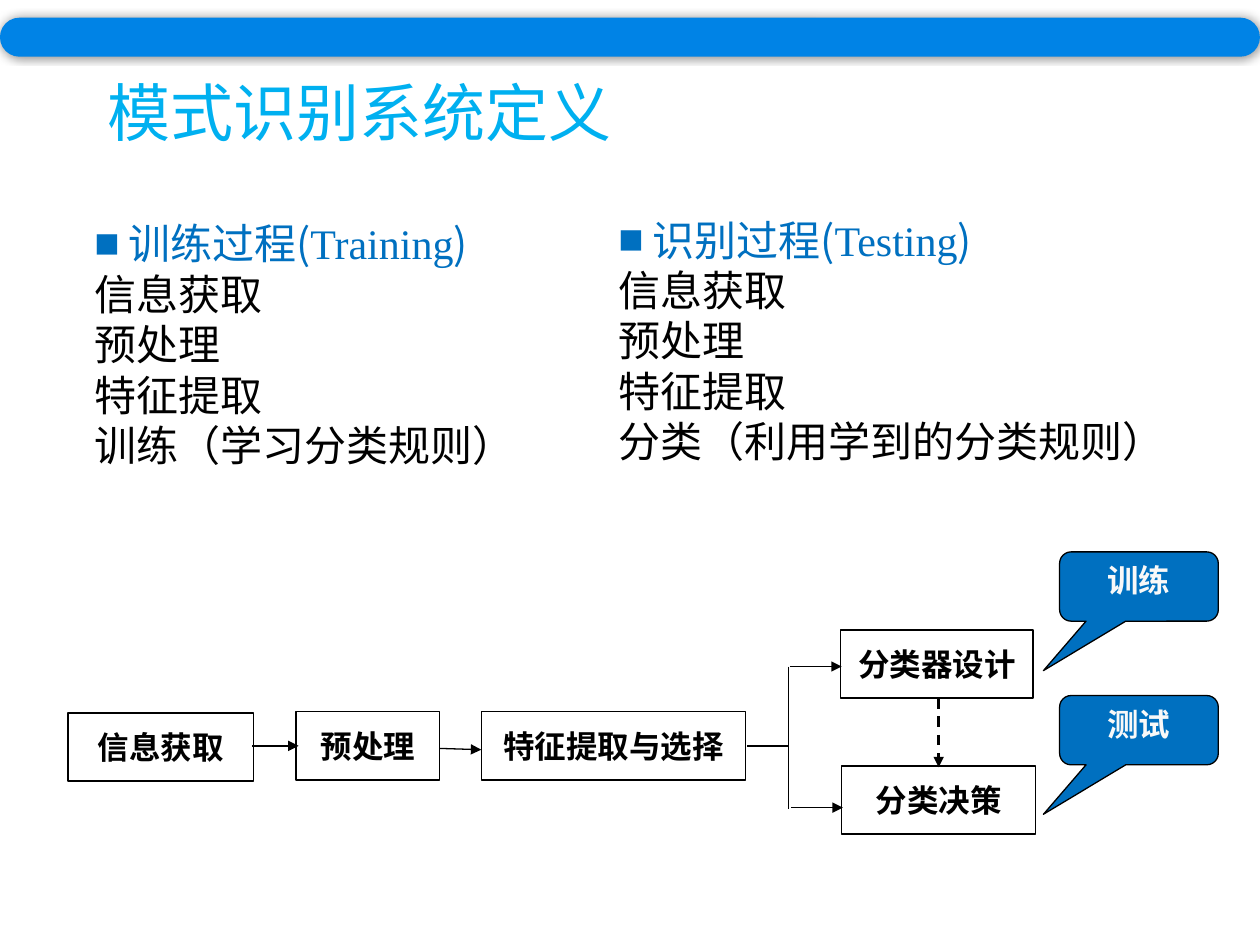
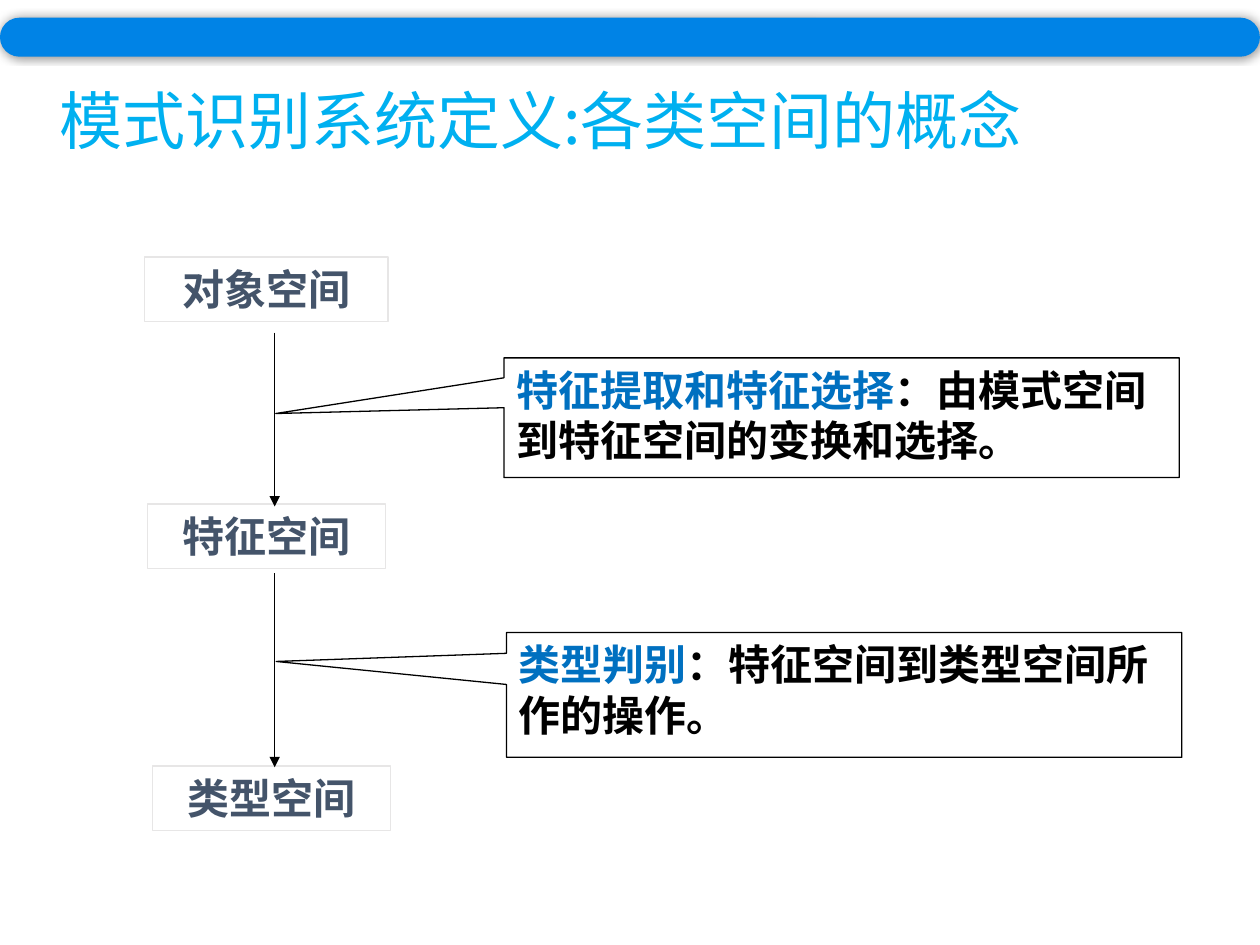
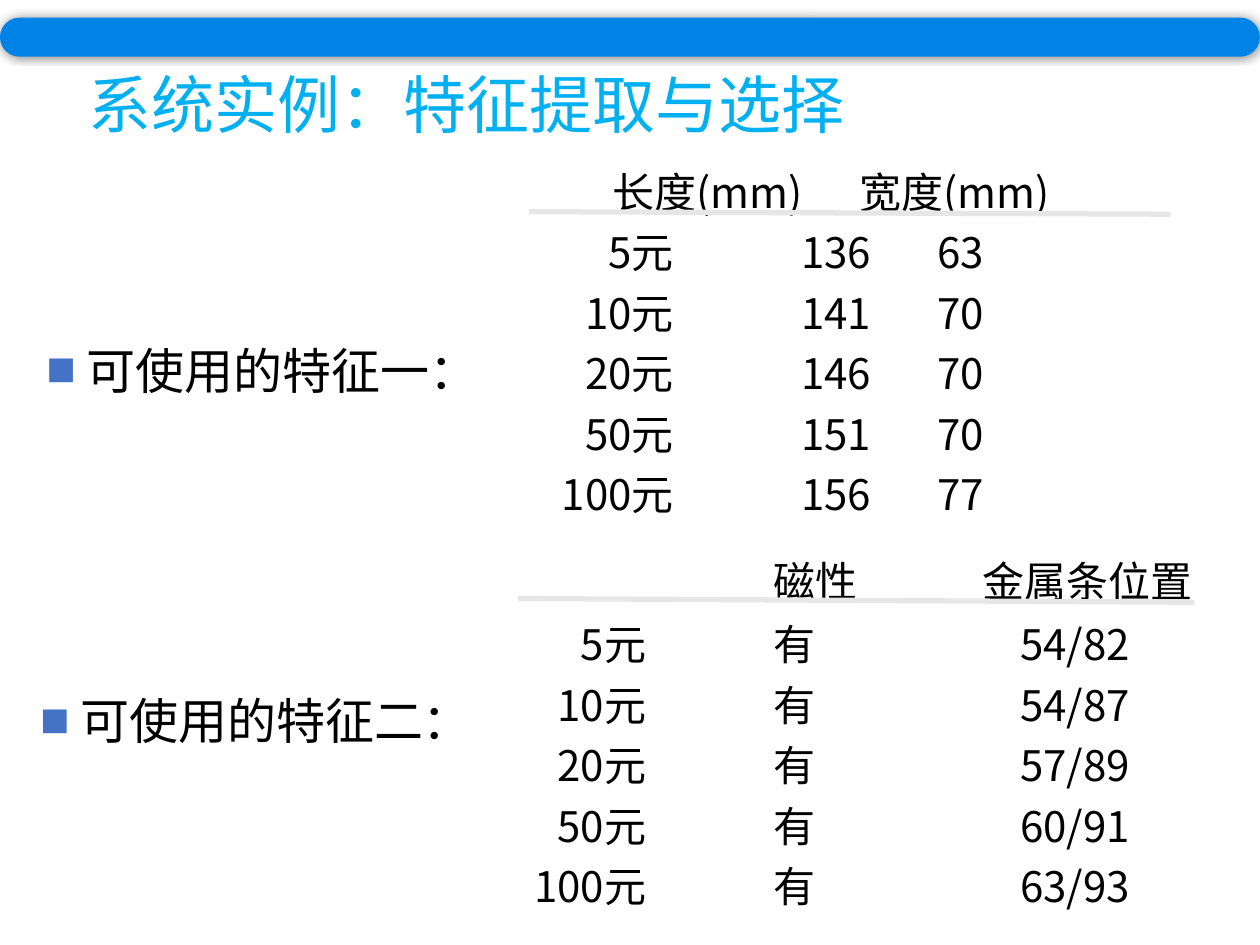
from lxml import etree
from pptx import Presentation
from pptx.dml.color import RGBColor
from pptx.enum import dml, shapes, text
from pptx.oxml.ns import qn
from pptx.util import Inches, Pt

SANS, SERIF = "Noto Sans CJK SC", "Times New Roman"
BLACK, WHITE, BLUE, GREY = "000000", "FFFFFF", "0070C0", "E7E6E6"
BAND, TITLE, SLATE, MARKER = "0083E6", "00B0F0", "44546A", "4472C4"
SHAPE = shapes.MSO_SHAPE
CENTER, LEFT = text.PP_ALIGN.CENTER, text.PP_ALIGN.LEFT


def write(paragraph, words, size=24, color=BLACK, font=SANS, bold=False,
          align=LEFT, bullet=None, indent=0.27):
    """Add a run; bullet is the colour of a square marker on the paragraph."""
    run = paragraph.add_run()
    run.text = words
    run.font.size, run.font.bold, run.font.name = Pt(size), bold, font
    run.font.color.rgb = RGBColor.from_string(color)
    etree.SubElement(run.font._element, qn("a:ea"), typeface=font)
    paragraph.alignment = align
    if bullet:
        props = paragraph._p.get_or_add_pPr()
        props.set("marL", str(Inches(indent)))
        props.set("indent", str(-Inches(indent)))
        marker = etree.SubElement(props, qn("a:buClr"))
        etree.SubElement(marker, qn("a:srgbClr"), val=bullet)
        etree.SubElement(props, qn("a:buFont"), typeface=SERIF)
        etree.SubElement(props, qn("a:buChar"), char="■")


def add_box(slide, box, preset=None, fill=None, line=None, adjust=()):
    """Add a preset shape, or a text box when there is no preset."""
    place = [Inches(v) for v in box]
    if preset is None:
        part = slide.shapes.add_textbox(*place)
    else:
        part = slide.shapes.add_shape(preset, *place)
        part.shadow.inherit = False
        for i, value in enumerate(adjust):
            part.adjustments[i] = value
        if fill:
            part.fill.solid()
            part.fill.fore_color.rgb = RGBColor.from_string(fill)
        else:
            part.fill.background()
        if line:
            part.line.color.rgb = RGBColor.from_string(line)
            part.line.width = Pt(0.75)
        else:
            part.line.fill.background()
        part.text_frame.vertical_anchor = text.MSO_ANCHOR.TOP
    part.text_frame.word_wrap = True
    return part


prs = Presentation()
prs.slide_width, prs.slide_height = Inches(10), Inches(7.5)

# Band and title of every slide
slides = []
for heading, left, top in [("模式识别系统定义", 0.75, 0.53),
                           ("模式识别系统定义:各类空间的概念", 0.37, 0.6),
                           ("系统实例：特征提取与选择", 0.6, 0.47)]:
    slide = prs.slides.add_slide(prs.slide_layouts[5])
    slides.append(slide)
    band = add_box(slide, (0, 0.14, 10, 0.31), SHAPE.ROUNDED_RECTANGLE, BAND, adjust=[0.5])
    effects = band.element.spPr.find(qn("a:effectLst"))
    glow = etree.SubElement(effects, qn("a:outerShdw"), blurRad=str(Pt(5)), dist="0", dir="0")
    shade = etree.SubElement(glow, qn("a:srgbClr"), val=BLACK)
    etree.SubElement(shade, qn("a:alpha"), val="40000")

    title = slide.shapes.title
    title.left, title.top, title.width, title.height = map(Inches, (left, top, 8.5, 1.17))
    title.text_frame.vertical_anchor = text.MSO_ANCHOR.TOP
    title.text_frame.auto_size = text.MSO_AUTO_SIZE.NONE
    write(title.text_frame.paragraphs[0], heading, size=36, color=TITLE)
    title.text_frame.paragraphs[0].space_after = Pt(6)
system, spaces, example = slides

# Slide 1: the two processes and the system flow
for left, top, process, english, last_step in [
        (0.65, 1.68, "训练过程", "Training", "训练（学习分类规则）"),
        (4.81, 1.65, "识别过程", "Testing", "分类（利用学到的分类规则）")]:
    frame = add_box(system, (left, top, 5, 2.12)).text_frame
    head = frame.paragraphs[0]
    write(head, process + "(", color=BLUE, bullet=BLUE)
    write(head, english, color=BLUE, font=SERIF)
    write(head, ")", color=BLUE)
    for step in ("信息获取", "预处理", "特征提取", last_step):
        write(frame.add_paragraph(), step)

for stage, left, top, width in [("信息获取", 0.54, 5.66, 1.47), ("预处理", 2.35, 5.65, 1.14),
                                ("特征提取与选择", 3.82, 5.65, 2.1),
                                ("分类器设计", 6.67, 5, 1.53), ("分类决策", 6.68, 6.08, 1.54)]:
    frame = add_box(system, (left, top, width, 0.54), SHAPE.RECTANGLE, WHITE, BLACK).text_frame
    frame.vertical_anchor = text.MSO_ANCHOR.MIDDLE
    write(frame.paragraphs[0], stage, size=18, bold=True, align=CENTER)

for phase, top in [("训练", 4.38), ("测试", 5.52)]:
    callout = add_box(system, (8.41, top, 1.26, 0.55), SHAPE.ROUNDED_RECTANGULAR_CALLOUT,
                      BLUE, BLACK, (-0.602, 1.214, 0.167))
    write(callout.text_frame.paragraphs[0], phase, size=18, color="F8F8F8",
          bold=True, align=CENTER)

# Slide 2: the three spaces and the steps between them
for space, left, top, width in [("对象空间", 1.15, 2.04, 1.93), ("特征空间", 1.17, 4, 1.89),
                                ("类型空间", 1.21, 6.08, 1.89)]:
    label = add_box(spaces, (left, top, width, 0.51), SHAPE.RECTANGLE, line=GREY)
    write(label.text_frame.paragraphs[0], space, color=SLATE, bold=True, align=CENTER)

for term, meaning, box, pointer in [
        ("特征提取和特征选择", "：由模式空间到特征空间的变换和选择。",
         (4, 2.84, 5.36, 0.95), (-0.838, -0.035)),
        ("类型判别", "：特征空间到类型空间所作的操作。",
         (4.02, 5.02, 5.36, 0.99), (-0.841, -0.268))]:
    callout = add_box(spaces, box, SHAPE.RECTANGULAR_CALLOUT, line=BLACK, adjust=pointer)
    definition = callout.text_frame.paragraphs[0]
    write(definition, term, color=BLUE, bold=True)
    write(definition, meaning, bold=True)

# Slide 3: two features of banknotes, in columns set by tab stops
for feature, left, top in [("可使用的特征一：", 0.27, 2.65), ("可使用的特征二：", 0.22, 5.43)]:
    frame = add_box(example, (left, top, 3.49, 0.57)).text_frame
    write(frame.paragraphs[0], feature, size=28, bullet=MARKER, indent=0.32)

notes = ("5元", "10元", "20元", "50元", "100元")
sizes = [("136", "63"), ("141", "70"), ("146", "70"), ("151", "70"), ("156", "77")]
marks = [("有", place) for place in ("54/82", "54/87", "57/89", "60/91", "63/93")]
for box, header, header_stops, tab_size, values, value_stops in [
        ((4.07, 1.19, 7, 3.01), ("长度(mm)", "宽度(mm)"), [(0.69, "l"), (2.65, "l")], 24,
         sizes, [(1.18, "r"), (2.19, "l"), (3.27, "l")]),
        ((3.85, 4.14, 8.16, 3.11), ("磁性", "金属条位置"), [(2.19, "l"), (3.85, "l")], 32,
         marks, [(1.18, "r"), (2.19, "l"), (4.15, "l")])]:
    frame = add_box(example, box).text_frame
    rows = [(header, header_stops, tab_size)]
    rows += [((note, *pair), value_stops, 24) for note, pair in zip(notes, values)]
    for i, (cells, stops, lead_size) in enumerate(rows):
        row = frame.add_paragraph() if i else frame.paragraphs[0]
        row.line_spacing = 1.2
        write(row, "\t", size=lead_size)
        write(row, "\t".join(cells))
        tabs = etree.SubElement(row._p.get_or_add_pPr(), qn("a:tabLst"))
        for position, side in stops:
            etree.SubElement(tabs, qn("a:tab"), pos=str(Inches(position)), algn=side)

# Arrows and rules: slide, ends, colour, width, arrowhead, dash
for slide, ends, color, width, arrow, dashed in [
        (system, (2, 5.92, 2.37, 5.92), BLACK, 0.75, True, False),
        (system, (3.49, 5.94, 3.82, 5.95), BLACK, 0.75, True, False),
        (system, (6.27, 5.29, 6.68, 5.29), BLACK, 0.75, True, False),
        (system, (6.28, 6.41, 6.69, 6.41), BLACK, 0.75, True, False),
        (system, (6.26, 5.29, 6.26, 6.42), BLACK, 0.75, False, False),
        (system, (5.93, 5.92, 6.26, 5.92), BLACK, 0.75, False, False),
        (system, (7.45, 5.54, 7.45, 6.09), BLACK, 1.5, True, True),
        (spaces, (2.18, 2.64, 2.18, 4.02), BLACK, 0.75, True, False),
        (spaces, (2.18, 4.55, 2.18, 6.09), BLACK, 0.75, True, False),
        (example, (4.2, 1.68, 9.29, 1.7), GREY, 3, False, False),
        (example, (4.11, 4.75, 9.48, 4.78), GREY, 3, False, False)]:
    link = slide.shapes.add_connector(shapes.MSO_CONNECTOR.STRAIGHT, *map(Inches, ends))
    link.line.color.rgb = RGBColor.from_string(color)
    link.line.width = Pt(width)
    if dashed:
        link.line.dash_style = dml.MSO_LINE.DASH
    props = link.element.spPr
    if arrow:
        etree.SubElement(props.find(qn("a:ln")), qn("a:tailEnd"), type="triangle")
    etree.SubElement(props, qn("a:effectLst"))

prs.save("out.pptx")
